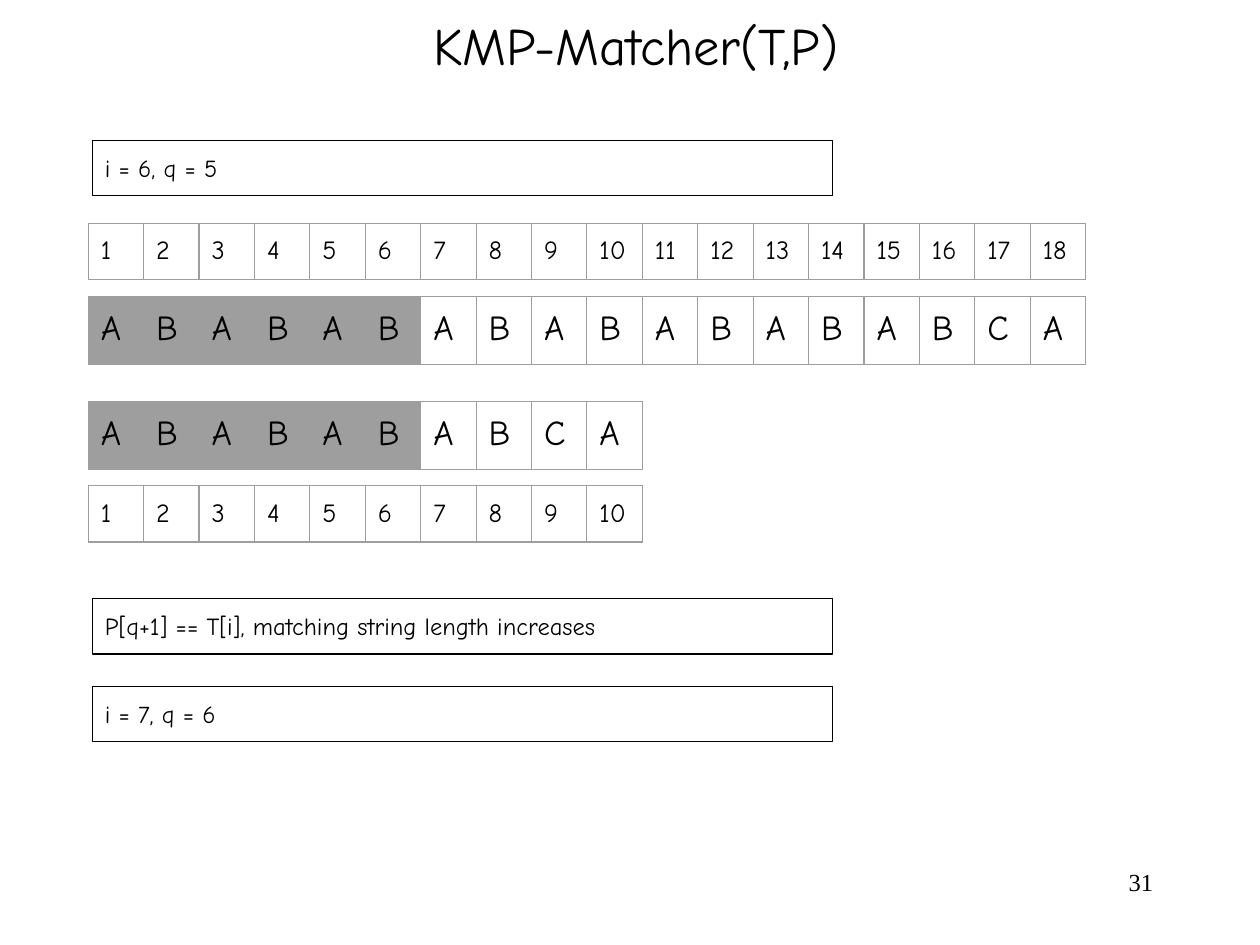
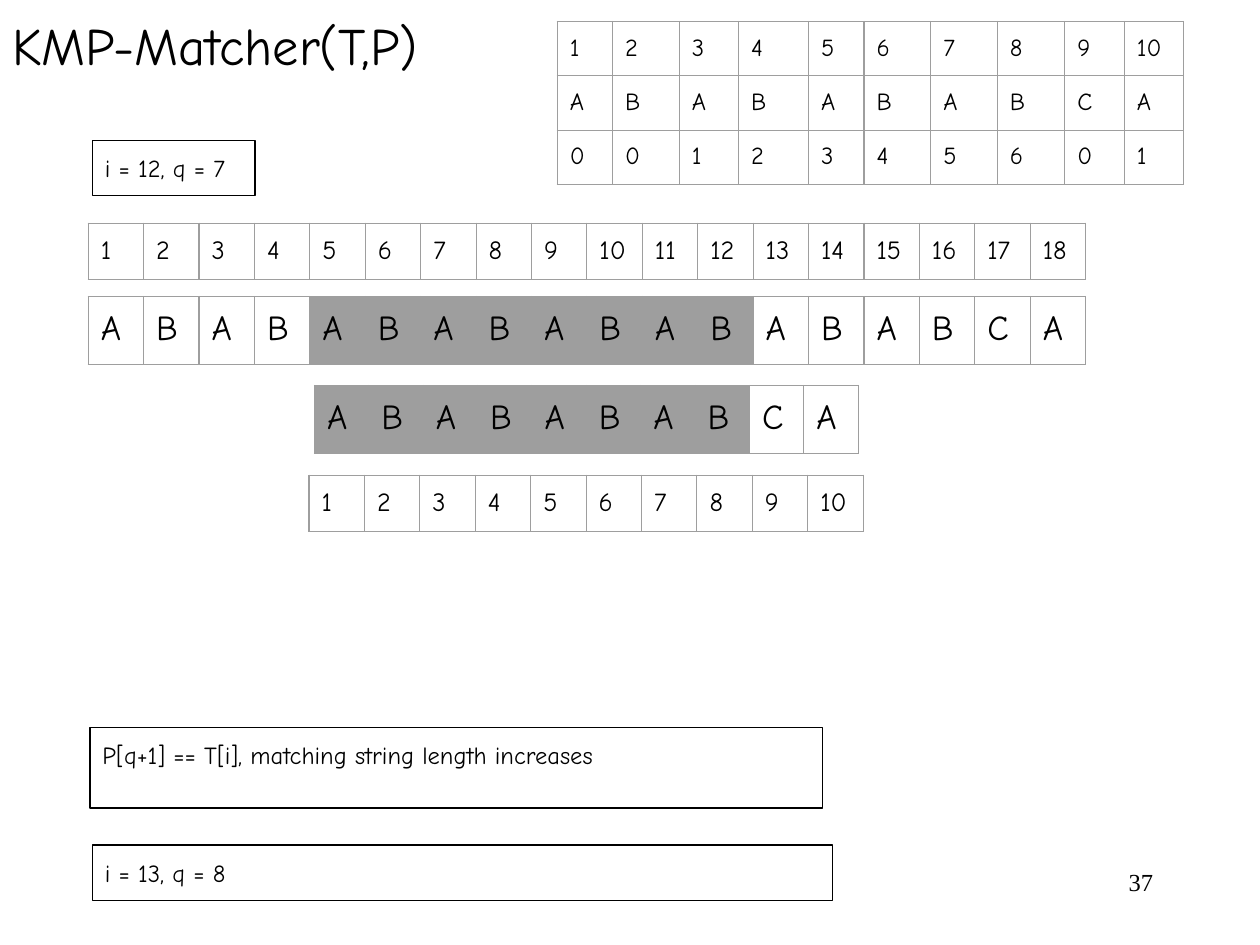
from dataclasses import dataclass

from lxml.etree import SubElement
from pptx import Presentation
from pptx.dml.color import RGBColor as Rgb
from pptx.enum.shapes import MSO_SHAPE as Shape
from pptx.enum.text import MSO_ANCHOR as Anchor, MSO_AUTO_SIZE as Fit, PP_ALIGN as Align
from pptx.oxml.ns import qn
from pptx.util import Pt

INK = {"text": "000000", "grid": "9E9E9E"}
FONT = "Comic Neue"
PAD = 7.2
LEFT = 50.4
COL = 31.68
ROWS = {14: 31.15, 15: 32.1, 20: 38.7}
TEXT = "ABABABABABABABABCA"
GOAL = "ABABABABCA"
FAILS = "0012345601"
WIDTHS = [31.7, 38.1, 33.8, 40.1, 31.7, 38.1, 38.1, 38.6, 34, 33.8]
GROWS = "P[q+1] == T[i], matching string length increases"


@dataclass
class Box:
    text: str
    top: float
    left: float = 52.8
    width: float = 422.8
    height: float = 31.7


@dataclass
class Grid:
    rows: list
    top: float
    left: float = LEFT
    col: float = COL
    size: int = 15
    shade: range = range(0)
    widths: list | None = None


@dataclass
class Page:
    number: str
    width: float
    align: Align
    boxes: list
    grids: list


def count(total: int) -> list:
    """Return the index labels from 1 to total."""
    return [str(n) for n in range(1, total + 1)]


def write(frame, text: str, *, size: float = 14, font: str = FONT,
          align: Align = Align.LEFT, pad: float = PAD) -> None:
    """Put formatted text into a text frame."""
    frame.word_wrap = True
    frame.auto_size = Fit.NONE
    frame.vertical_anchor = Anchor.TOP
    frame.margin_left = frame.margin_right = Pt(PAD)
    frame.margin_top = frame.margin_bottom = Pt(pad)
    style(frame, text, size, font, align)


def style(frame, text: str, size: float, font: str = FONT,
          align: Align = Align.LEFT) -> None:
    """Set the words, font and alignment of a frame."""
    frame.text = text
    line = frame.paragraphs[0]
    line.alignment = align
    line.font.size = Pt(size)
    line.font.name = font
    line.font.color.rgb = Rgb.from_string(INK["text"])


def edge(cell) -> None:
    """Draw the four borders of a cell."""
    props = cell._tc.get_or_add_tcPr()
    for spot, side in enumerate(("lnL", "lnR", "lnT", "lnB")):
        line = SubElement(props, qn(f"a:{side}"), w=str(Pt(0.75)))
        fill = SubElement(line, qn("a:solidFill"))
        SubElement(fill, qn("a:srgbClr"), val=INK["grid"])
        props.insert(spot, line)


def draw_box(slide, box: Box) -> None:
    """Draw an outlined note."""
    shape = slide.shapes.add_shape(Shape.RECTANGLE, Pt(box.left), Pt(box.top),
                                   Pt(box.width), Pt(box.height))
    shape.shadow.inherit = False
    shape.fill.background()
    shape.line.color.rgb = Rgb.from_string(INK["text"])
    shape.line.width = Pt(0.75)
    write(shape.text_frame, box.text)


def draw_grid(slide, grid: Grid) -> None:
    """Draw a table, shading the matched columns."""
    widths = grid.widths or [grid.col] * len(grid.rows[0])
    height = ROWS[grid.size]
    table = slide.shapes.add_table(len(grid.rows), len(widths), Pt(grid.left), Pt(grid.top),
                                   Pt(sum(widths)), Pt(height * len(grid.rows))).table
    table.first_row = table.horz_banding = False
    for col, width in zip(table.columns, widths):
        col.width = Pt(width)
    for y, row in enumerate(grid.rows):
        table.rows[y].height = Pt(height)
        for x, mark in enumerate(row):
            cell = table.cell(y, x)
            cell.margin_left = cell.margin_right = Pt(PAD)
            cell.margin_top = cell.margin_bottom = Pt(PAD)
            if x in grid.shade:
                cell.fill.solid()
                cell.fill.fore_color.rgb = Rgb.from_string(INK["grid"])
            else:
                cell.fill.background()
            edge(cell)
            style(cell.text_frame, mark, grid.size)


def draw_page(deck, page: Page) -> None:
    """Add one slide with its title, number, grids and notes."""
    slide = deck.slides.add_slide(deck.slide_layouts[5])
    title = slide.shapes.title
    title.left, title.top = Pt(0), Pt(0)
    title.width, title.height = Pt(page.width), Pt(51)
    write(title.text_frame, "KMP-Matcher(T,P)", size=30, align=page.align)
    foot = slide.shapes.add_textbox(Pt(516.2), Pt(491.8), Pt(149.8), Pt(36))
    write(foot.text_frame, page.number, font="Times New Roman", align=Align.RIGHT, pad=3.6)
    for grid in page.grids:
        draw_grid(slide, grid)
    for box in page.boxes:
        draw_box(slide, box)


INDEX = Grid([count(len(TEXT))], 127.6)

PAGES = [
    Page("31", 726.8, Align.CENTER,
         [Box("i = 6, q = 5", 80.2), Box(GROWS, 342), Box("i = 7, q = 6", 392.2)],
         [Grid([TEXT], 169.4, size=20, shade=range(6)),
          Grid([GOAL], 229.4, size=20, shade=range(6)),
          INDEX,
          Grid([count(len(GOAL))], 277.6)]),
    Page("37", 286.6, Align.LEFT,
         [Box("i = 12, q = 7", 80.2, width=92.9),
          Box("i = 13, q = 8", 482.9),
          Box(GROWS, 415.7, left=51.5, width=418.5, height=46)],
         [Grid([TEXT], 169.4, size=20, shade=range(4, 12)),
          INDEX,
          Grid([count(len(GOAL))], 271.6, left=176.6),
          Grid([count(len(GOAL)), GOAL, FAILS], 12.2, left=318.4, size=14, widths=WIDTHS),
          Grid([GOAL], 220.3, left=179.7, col=31.08, size=20, shade=range(8))]),
]


def main() -> None:
    """Build and save the slides."""
    deck = Presentation()
    deck.slide_width, deck.slide_height = Pt(720), Pt(540)
    for page in PAGES:
        draw_page(deck, page)
    deck.save("out.pptx")


if __name__ == "__main__":
    main()
